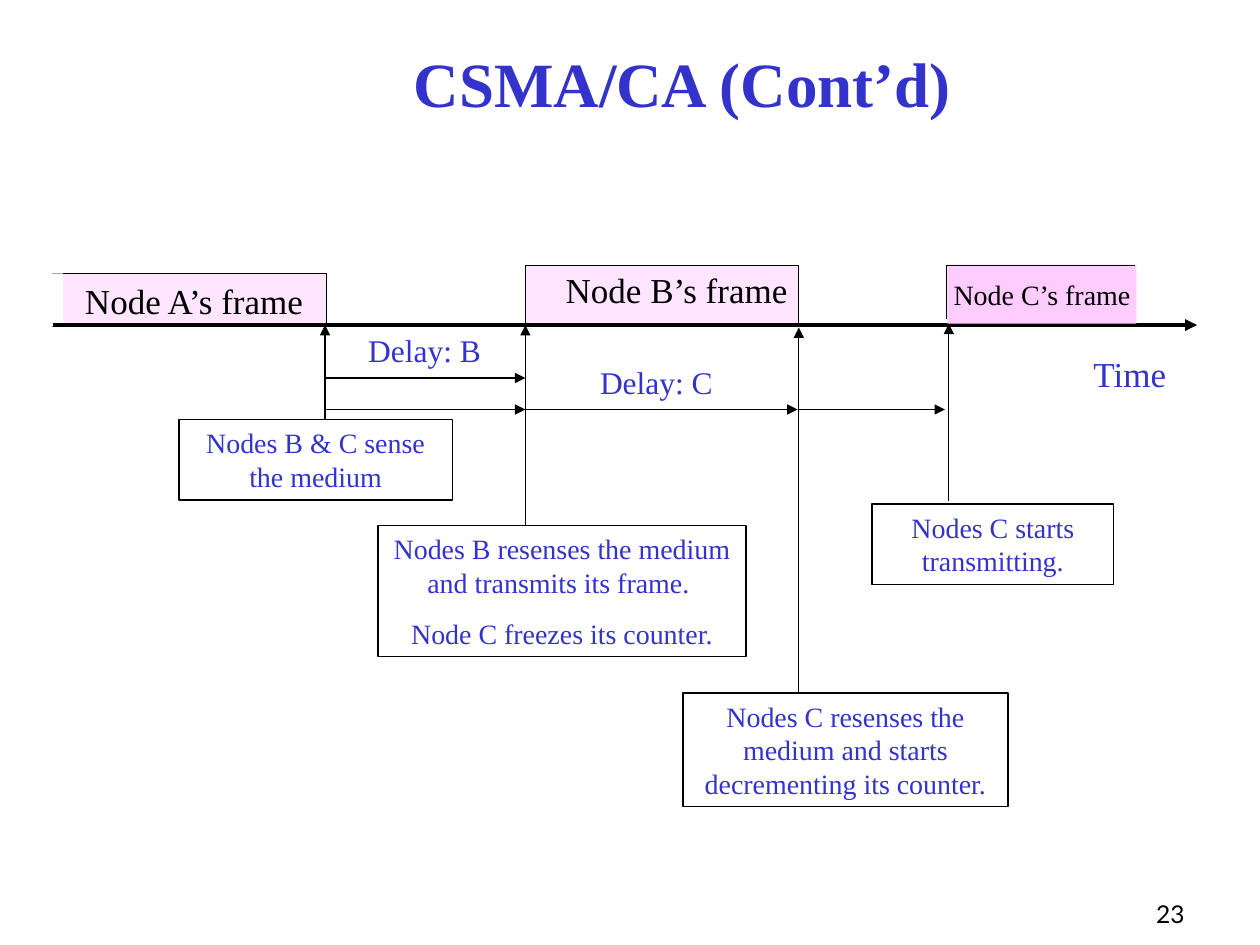
from lxml.etree import SubElement
from pptx import Presentation
from pptx.dml.color import RGBColor
from pptx.enum.shapes import MSO_CONNECTOR, MSO_SHAPE
from pptx.enum.text import MSO_ANCHOR, PP_ALIGN
from pptx.oxml.ns import qn
from pptx.util import Inches, Pt

BLUE, BLACK, PINK, WHITE = "3333CC", "000000", "FFCCFF", "FFFFFF"
SERIF = "Times New Roman"

presentation = Presentation()
presentation.slide_width, presentation.slide_height = Inches(10), Inches(7.5)
slide = presentation.slides.add_slide(presentation.slide_layouts[6])


def add_box(bounds, text="", size=16, color=BLUE, fill=None, opacity=100, outline=False,
            align=PP_ALIGN.CENTER, anchor=MSO_ANCHOR.TOP, margins=(0.1, 0.05), font=SERIF, bold=False):
    """Add a rectangle; each line of text is a paragraph, margins are (side, top and bottom)."""
    shape = slide.shapes.add_shape(MSO_SHAPE.RECTANGLE, *map(Inches, bounds))
    shape.shadow.inherit = False
    if fill:
        shape.fill.solid()
        shape.fill.fore_color.rgb = RGBColor.from_string(fill)
        if opacity < 100:
            color_element = shape.fill._xPr.find(f".//{qn('a:srgbClr')}")
            SubElement(color_element, qn("a:alpha")).set("val", str(opacity * 1000))
    else:
        shape.fill.background()
    if outline:
        shape.line.color.rgb = RGBColor.from_string(BLACK)
        shape.line.width = Pt(0.75)
    else:
        shape.line.fill.background()
    if not text:
        return
    frame = shape.text_frame
    side, vertical = map(Inches, margins)
    frame_format = {"word_wrap": True, "vertical_anchor": anchor, "margin_left": side,
                    "margin_right": side, "margin_top": vertical, "margin_bottom": vertical}
    for name, value in frame_format.items():
        setattr(frame, name, value)
    frame.text = text
    for index, paragraph in enumerate(frame.paragraphs):
        paragraph.alignment = align
        if index:
            paragraph.space_before = Pt(10)
        for run in paragraph.runs:
            for name, value in {"name": font, "size": Pt(size), "bold": bold}.items():
                setattr(run.font, name, value)
            run.font.color.rgb = RGBColor.from_string(color)


def add_line(start, end, width=0.75, arrow=True):
    line = slide.shapes.add_connector(MSO_CONNECTOR.STRAIGHT, *map(Inches, (*start, *end)))
    line.line.color.rgb = RGBColor.from_string(BLACK)
    line.line.width = Pt(width)
    if arrow:
        SubElement(line.line._get_or_add_ln(), qn("a:tailEnd")).set("type", "triangle")
    SubElement(line._element.spPr, qn("a:effectLst"))


# Title, slide number and axis label
add_box((0.83, 0.25, 9.17, 0.75), "CSMA/CA (Cont’d)", 36, anchor=MSO_ANCHOR.BOTTOM, bold=True)
add_box((7.42, 6.92, 2.08, 0.5), "23", 14, BLACK, align=PP_ALIGN.RIGHT,
        anchor=MSO_ANCHOR.BOTTOM, font="Lato")
add_box((8.58, 2.75, 0.92, 0.44), "Time", 20, align=PP_ALIGN.LEFT)

# Frames of nodes A and B; the white block opens the left side of frame A
axis_y = 2.58
a_end, b_start, b_end, c_start = 2.58, 4.17, 6.33, 7.53
add_box((0.42, 2.17, 2.17, 0.42), fill=PINK, opacity=50, outline=True)
add_box((0.5, 2.17, 2.08, 0.44), "Node A’s frame", 20, BLACK)
add_box((b_start, 2.11, 2.17, 0.48), fill=PINK, opacity=50, outline=True)
add_box((4.08, 2.08, 2.58, 0.44), "Node B’s frame", 20, BLACK)
add_box((0.25, 2.17, 0.25, 0.42), fill=WHITE)

# Time axis
add_line((0.42, axis_y), (9.5, axis_y), width=2.25)

# Event notes, each with an arrow up to its moment on the axis
events = [
    (a_end, 3.33, axis_y, (1.42, 3.33, 2.17, 0.64), "Nodes B & C sense the medium"),
    (b_start, 4.17, axis_y, (3, 4.17, 2.92, 1.04),
     "Nodes B resenses the medium and transmits its frame. \nNode C freezes its counter."),
    (b_end + 0.01, 5.51, 2.6, (5.42, 5.5, 2.58, 0.9),
     "Nodes C resenses the medium and starts decrementing its counter."),
    (c_start, 3.98, 2.57, (6.92, 4, 1.92, 0.64), "Nodes C starts transmitting."),
]
for x, bottom, top, bounds, note in events:
    add_line((x, bottom), (x, top))
    add_box(bounds, note, outline=True)

# Delays
for y, start, end in [(3, a_end, b_start), (3.25, a_end, b_start),
                      (3.25, b_start, b_end), (3.25, b_end, 7.5)]:
    add_line((start, y), (end, y))
for left, top, label in [(2.58, 2.58, "Delay: B"), (4.42, 2.83, "Delay: C")]:
    add_box((left, top, 1.58, 0.4), label, 18)

# Frame of node C, open on the right
add_box((7.52, 2.1, 1.5, 0.47), "Node C’s frame", 16, BLACK, fill=PINK, margins=(0, 0.1))
for end in [(7.51, 2.53), (9.01, 2.11)]:
    add_line((7.51, 2.11), end, arrow=False)

presentation.save("out.pptx")
